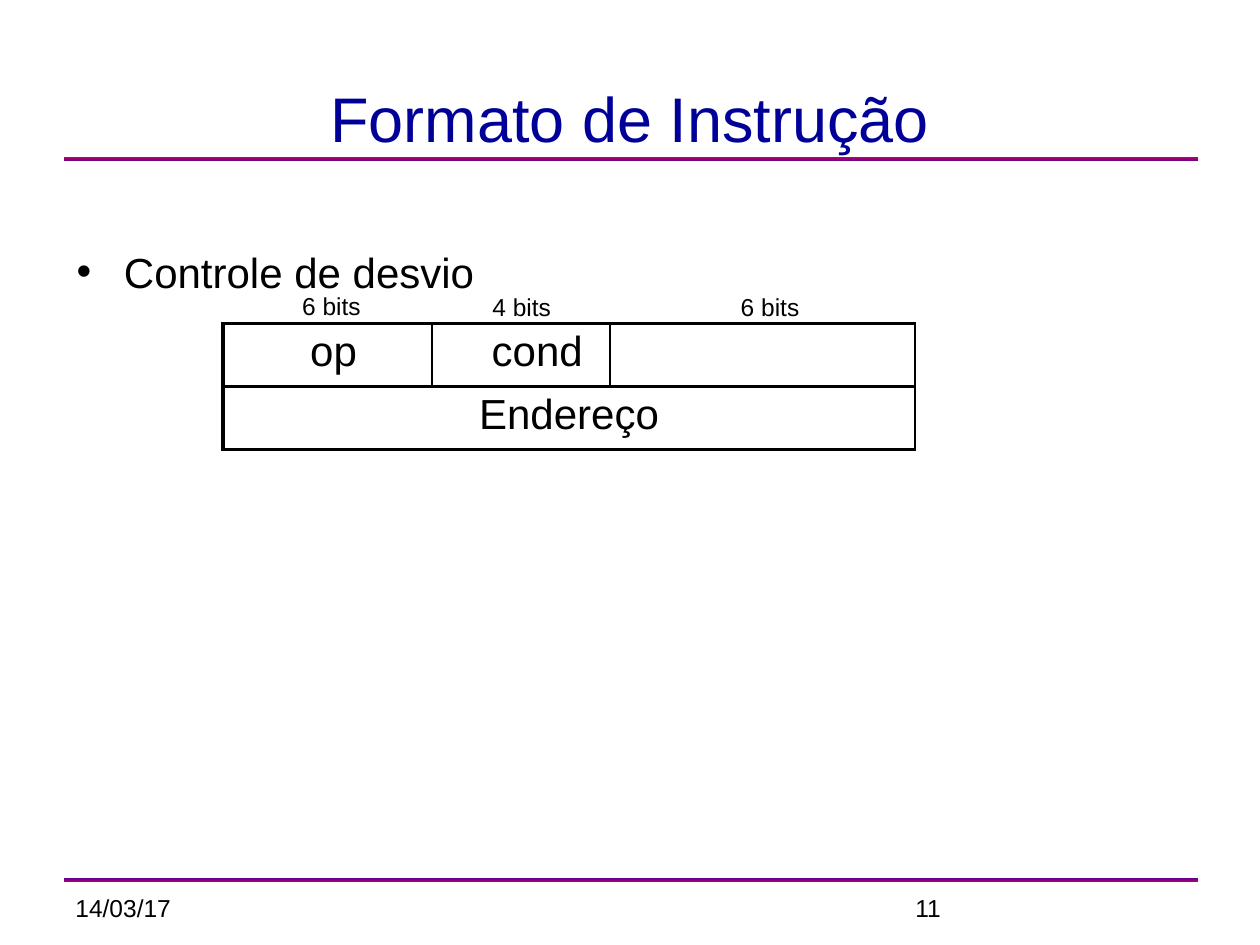
from pptx import Presentation
from pptx.dml.color import RGBColor
from pptx.enum.shapes import MSO_SHAPE
from pptx.enum.text import MSO_ANCHOR, PP_ALIGN
from pptx.oxml import parse_xml
from pptx.oxml.ns import nsdecls
from pptx.util import Pt

BLACK = RGBColor(0x00, 0x00, 0x00)
NAVY = RGBColor(0x00, 0x00, 0x99)
PURPLE = RGBColor(0x66, 0x00, 0x8F)
MAGENTA = RGBColor(0xBA, 0x00, 0x66)

THICK, THIN = 2.21, 0.96
TITLE_ONLY = 5


def write(frame, text, size=24, color=BLACK, align=PP_ALIGN.LEFT, font="Arial"):
    paragraph = frame.paragraphs[0]
    paragraph.alignment = align
    run = paragraph.add_run()
    run.text = text
    run.font.name = font
    run.font.size = Pt(size)
    run.font.color.rgb = color


def set_borders(cell, **widths):
    """Draw black cell edges; the keywords L, R, T, B give widths in points."""
    properties = cell._tc.get_or_add_tcPr()
    for index, side in enumerate("LRTB"):
        properties.insert(index, parse_xml(
            f'<a:ln{side} {nsdecls("a")} w="{Pt(widths[side])}">'
            f'<a:solidFill><a:srgbClr val="{BLACK}"/></a:solidFill></a:ln{side}>'))


class SlideBuilder:
    def __init__(self, slide):
        self.slide = slide

    def title(self, text, *box):
        heading = self.slide.shapes.title
        heading.left, heading.top, heading.width, heading.height = map(Pt, box)
        heading.text_frame.vertical_anchor = MSO_ANCHOR.BOTTOM
        write(heading.text_frame, text, size=36, color=NAVY, align=PP_ALIGN.CENTER)

    def rule(self, top, first, last):
        bar = self.slide.shapes.add_shape(
            MSO_SHAPE.RECTANGLE, Pt(36.7), Pt(top), Pt(648), Pt(2.2))
        bar.shadow.inherit = False
        bar.line.fill.background()
        bar.fill.gradient()
        bar.fill.gradient_angle = 90
        for stop, color in zip(bar.fill.gradient_stops, (first, last)):
            stop.color.rgb = color

    def text(self, text, *box, size=14):
        frame = self.slide.shapes.add_textbox(*map(Pt, box)).text_frame
        frame.word_wrap = True
        write(frame, text, size=size)
        return frame

    def bullet(self, text, *box, top_margin):
        frame = self.text(text, *box, size=24)
        frame.margin_top = Pt(top_margin)
        properties = frame.paragraphs[0]._p.get_or_add_pPr()
        properties.set("marL", str(Pt(27)))
        properties.set("indent", str(-Pt(27)))
        properties.append(parse_xml(f'<a:buFont {nsdecls("a")} typeface="Arial"/>'))
        properties.append(parse_xml(f'<a:buChar {nsdecls("a")} char="•"/>'))

    def instruction_table(self, left, top, column_widths, row_height):
        """Opcode, condition and an unused field above a full-width address."""
        table = self.slide.shapes.add_table(
            2, len(column_widths), Pt(left), Pt(top),
            Pt(sum(column_widths)), Pt(2 * row_height)).table
        table.first_row = table.horz_banding = False
        for column, width in zip(table.columns, column_widths):
            column.width = Pt(width)
        for row in table.rows:
            row.height = Pt(row_height)
            for index, cell in enumerate(row.cells):
                cell.fill.background()
                cell.margin_top = Pt(3)
                set_borders(cell, L=THIN if index else THICK, R=THIN, T=THICK, B=THICK)

        opcode, condition, _ = table.rows[0].cells
        address = table.cell(1, 0)
        address.merge(table.cell(1, len(column_widths) - 1))
        opcode.margin_left = Pt(14)
        condition.margin_left = Pt(34)
        write(opcode.text_frame, "op", align=PP_ALIGN.CENTER)
        write(condition.text_frame, "cond")
        write(address.text_frame, "Endereço", align=PP_ALIGN.CENTER)


def main():
    deck = Presentation()
    deck.slide_width, deck.slide_height = Pt(720), Pt(540)
    builder = SlideBuilder(deck.slides.add_slide(deck.slide_layouts[TITLE_ONLY]))

    builder.rule(90, PURPLE, MAGENTA)
    builder.rule(502, MAGENTA, PURPLE)
    for footer, left in (("14/03/17", 36), ("11", 516)):
        builder.text(footer, left, 507, 168, 37.5)

    builder.title("Formato de Instrução", 36.7, 36, 646.5, 56.5)
    builder.bullet("Controle de desvio", 36.7, 103.7, 646.5, 385, top_margin=37)
    builder.instruction_table(127.5, 185, (119.5, 101.5, 174.3), 36)
    for bits, left, top, width in (
            ("6 bits", 165.6, 162.7, 52),
            ("4 bits", 274.3, 163.4, 67.7),
            ("6 bits", 416.2, 163.4, 52)):
        builder.text(bits, left, top, width, 24)

    deck.save("out.pptx")


if __name__ == "__main__":
    main()
